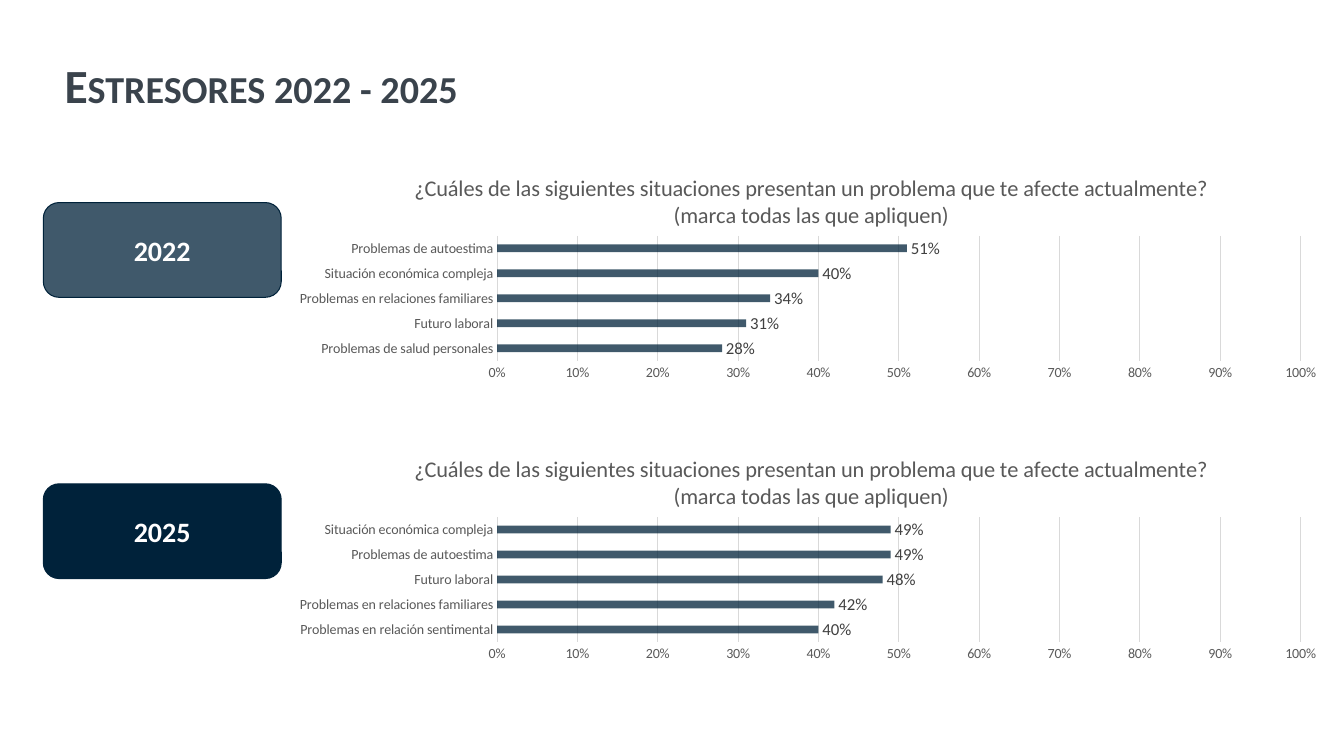
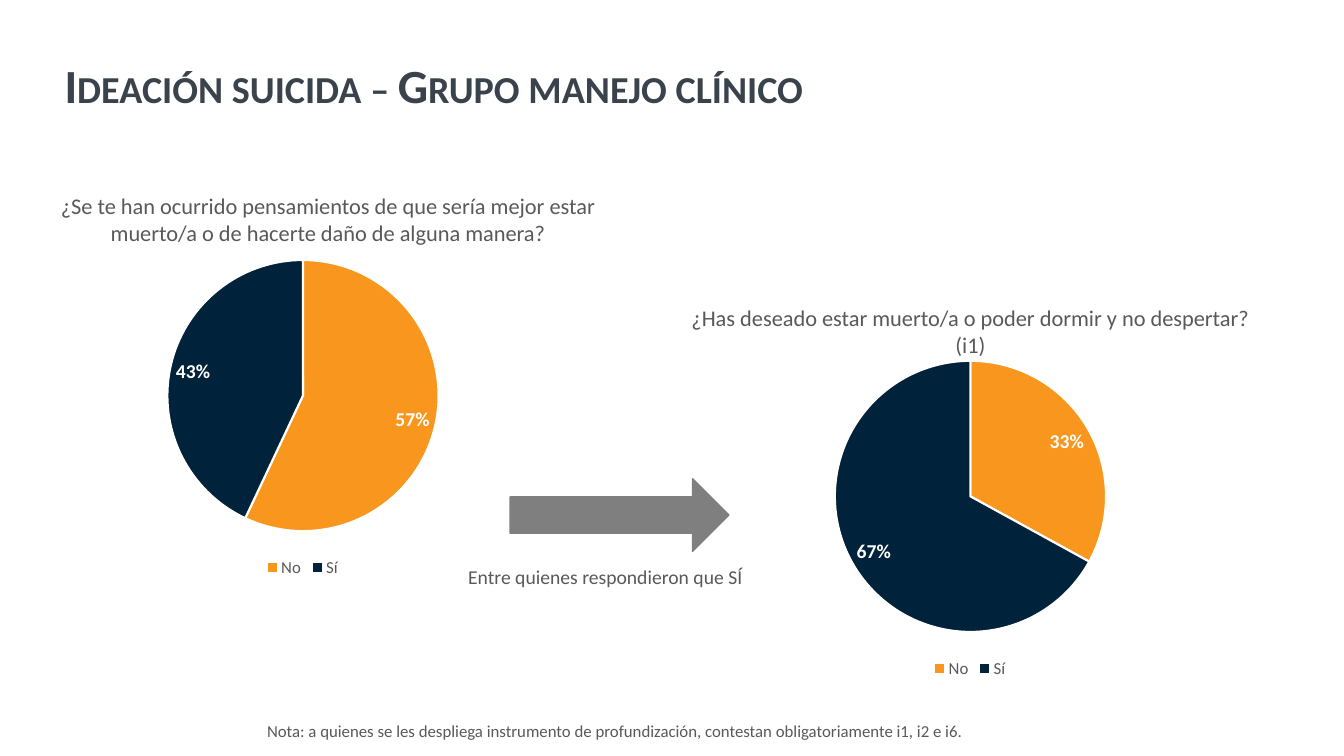
from lxml.etree import SubElement
from pptx import Presentation
from pptx.chart.data import CategoryChartData
from pptx.dml.color import RGBColor
from pptx.enum.chart import XL_CHART_TYPE as ChartType
from pptx.enum.chart import XL_LABEL_POSITION as LabelPosition
from pptx.enum.chart import XL_LEGEND_POSITION as LegendPosition
from pptx.enum.chart import XL_TICK_MARK as TickMark
from pptx.enum.shapes import MSO_SHAPE as Shape
from pptx.enum.text import MSO_ANCHOR as Anchor
from pptx.enum.text import MSO_AUTO_SIZE as AutoSize
from pptx.enum.text import PP_ALIGN as Align
from pptx.oxml.ns import qn
from pptx.util import Pt

PX = 9144
FONT = "Calibri"
COLORS = {
    "title": "3A434C",
    "text": "595959",
    "label": "404040",
    "navy": "00223A",
    "orange": "F8961E",
    "grid": "D9D9D9",
    "arrow": "7F7F7F",
    "white": "FFFFFF",
}
STRESSOR_QUESTION = (
    "¿Cuáles de las siguientes situaciones presentan un problema que te afecte actualmente?",
    "(marca todas las que apliquen)",
)


def color(name):
    return RGBColor.from_string(COLORS[name])


def emu(*lengths):
    return [length * PX for length in lengths]


def style_font(font, size, color_name, bold=False):
    font.name = FONT
    font.size = Pt(size)
    font.bold = bold
    font.color.rgb = color(color_name)


def paint(target, color_name):
    target.fill.solid()
    target.fill.fore_color.rgb = color(color_name)


def outline(line, color_name, width):
    line.color.rgb = color(color_name)
    line.width = Pt(width)


def set_opacity(element, percent):
    fill_color = next(element.iter(qn("a:srgbClr")))
    SubElement(fill_color, qn("a:alpha"), val=str(percent * 1000))


def add_run(paragraph, text, size, color_name, bold=False):
    run = paragraph.add_run()
    run.text = text
    style_font(run.font, size, color_name, bold)
    return run


def add_titled_slide(deck, text):
    slide = deck.slides.add_slide(deck.slide_layouts[5])
    title = slide.shapes.title
    title.left, title.top, title.width, title.height = emu(54, 40, 1273, 94)
    frame = title.text_frame
    frame.auto_size = AutoSize.NONE
    frame.vertical_anchor = Anchor.MIDDLE
    heading = frame.paragraphs[0]
    heading.alignment = Align.LEFT
    heading.line_spacing = 0.9
    run = add_run(heading, text, 34, "title", True)
    run.font._element.set("cap", "small")
    return slide


def add_caption(slide, box, text, size, align=Align.CENTER):
    caption = slide.shapes.add_textbox(*emu(*box))
    frame = caption.text_frame
    frame.word_wrap = True
    frame.auto_size = AutoSize.SHAPE_TO_FIT_TEXT
    paragraph = frame.paragraphs[0]
    paragraph.alignment = align
    add_run(paragraph, text, size, "text")


def add_solid_shape(slide, kind, box, color_name, line_width):
    shape = slide.shapes.add_shape(kind, *emu(*box))
    shape.shadow.inherit = False
    paint(shape, color_name)
    outline(shape.line, color_name, line_width)
    return shape


def place_in_chart(parent, chart_size, region):
    layout = parent.find(qn("c:layout"))
    if layout is None:
        layout = parent.makeelement(qn("c:layout"))
        parent.insert(0, layout)
    manual = SubElement(layout, qn("c:manualLayout"))
    if len(region) == 4:
        SubElement(manual, qn("c:layoutTarget"), val="inner")
    for mode in ("xMode", "yMode"):
        SubElement(manual, qn(f"c:{mode}"), val="edge")
    for key, length, total in zip("xywh", region, chart_size * 2):
        SubElement(manual, qn(f"c:{key}"), val=f"{length / total:.4f}")


def add_percent_chart(slide, kind, box, plot_region, categories, values):
    data = CategoryChartData(number_format="0%")
    data.categories = categories
    data.add_series("Series 1", values)
    chart = slide.shapes.add_chart(kind, *emu(*box), data).chart
    style_font(chart.font, 10, "text")
    chart.has_title = False
    chart.has_legend = False
    plot_area = next(chart.element.iter(qn("c:plotArea"))) if hasattr(chart, "element") else \
        next(chart._chartSpace.iter(qn("c:plotArea")))
    place_in_chart(plot_area, box[2:], plot_region)
    return chart


def label_values(plot, position, size, color_name, bold=False):
    plot.has_data_labels = True
    labels = plot.data_labels
    labels.show_value = True
    labels.show_percentage = False
    labels.number_format = "0%"
    labels.number_format_is_linked = False
    labels.position = position
    style_font(labels.font, size, color_name, bold)


def add_year_panel(slide, left, top, year, opacity, answers):
    badge = add_solid_shape(
        slide, Shape.ROUNDED_RECTANGLE, (left, top + 49, 236, 94), "navy", 0.75
    )
    if opacity < 100:
        set_opacity(badge._element, opacity)
    badge.text_frame.vertical_anchor = Anchor.MIDDLE
    paragraph = badge.text_frame.paragraphs[0]
    paragraph.alignment = Align.CENTER
    add_run(paragraph, year, 20, "white", True)

    box = (left + 234, top, 1050, 231)
    chart = add_percent_chart(
        slide, ChartType.BAR_CLUSTERED, box, (216, 82, 797, 124),
        list(answers), list(answers.values()),
    )
    chart.has_title = True
    title = chart.chart_title
    title.include_in_layout = False
    frame = title.text_frame
    for index, line in enumerate(STRESSOR_QUESTION):
        paragraph = frame.add_paragraph() if index else frame.paragraphs[0]
        add_run(paragraph, line, 16, "text")
    place_in_chart(title._element, box[2:], (131, 17))

    plot = chart.plots[0]
    plot.gap_width = 219
    plot.vary_by_categories = False
    bars = plot.series[0]
    paint(bars.format, "navy")
    set_opacity(bars._element, 75)
    label_values(plot, LabelPosition.OUTSIDE_END, 12, "label")

    for axis in (chart.category_axis, chart.value_axis):
        axis.major_tick_mark = axis.minor_tick_mark = TickMark.NONE
        style_font(axis.tick_labels.font, 10, "text")
    chart.category_axis.has_major_gridlines = False
    outline(chart.category_axis.format.line, "grid", 0.75)
    scale = chart.value_axis
    scale.minimum_scale, scale.maximum_scale, scale.major_unit = 0, 1, 0.1
    scale.tick_labels.number_format = "0%"
    scale.tick_labels.number_format_is_linked = False
    scale.format.line.fill.background()
    outline(scale.major_gridlines.format.line, "grid", 0.75)


def add_answer_pie(slide, left, top, question_offset, question, shares):
    shift, rise = question_offset
    add_caption(slide, (left + shift, top - rise, 607, 64), question, 16)
    chart = add_percent_chart(
        slide, ChartType.PIE, (left, top, 600, 334), (166, 15, 269, 269),
        ("No", "Sí"), shares,
    )
    chart.has_legend = True
    chart.legend.position = LegendPosition.BOTTOM
    chart.legend.include_in_layout = False
    style_font(chart.legend.font, 12, "text")
    plot = chart.plots[0]
    plot.vary_by_categories = True
    for index, color_name in enumerate(("orange", "navy")):
        slice_format = plot.series[0].points[index].format
        paint(slice_format, color_name)
        outline(slice_format.line, "white", 1.5)
    label_values(plot, LabelPosition.BEST_FIT, 14, "white", True)


def build_stressors(deck):
    slide = add_titled_slide(deck, "Estresores 2022 - 2025")
    add_year_panel(slide, 43, 152, "2022", 75, {
        "Problemas de salud personales": 0.28,
        "Futuro laboral": 0.31,
        "Problemas en relaciones familiares": 0.34,
        "Situación económica compleja": 0.4,
        "Problemas de autoestima": 0.51,
    })
    add_year_panel(slide, 43, 431, "2025", 100, {
        "Problemas en relación sentimental": 0.4,
        "Problemas en relaciones familiares": 0.42,
        "Futuro laboral": 0.48,
        "Problemas de autoestima": 0.49,
        "Situación económica compleja": 0.49,
    })


def build_ideation(deck):
    slide = add_titled_slide(deck, "Ideación suicida – Grupo manejo clínico")
    add_answer_pie(
        slide, 0, 243, (22, 57),
        "¿Se te han ocurrido pensamientos de que sería mejor estar muerto/a "
        "o de hacerte daño de alguna manera?",
        (0.57, 0.43),
    )
    add_answer_pie(
        slide, 662, 343, (-3, 46),
        "¿Has deseado estar muerto/a o poder dormir y no despertar? (i1)",
        (0.33, 0.67),
    )
    add_solid_shape(slide, Shape.RIGHT_ARROW, (506, 475, 217, 72), "arrow", 1)
    add_caption(slide, (297, 556, 607, 34), "Entre quienes respondieron que SÍ", 14)
    add_caption(
        slide, (255, 710, 738, 30),
        "Nota: a quienes se les despliega instrumento de profundización, "
        "contestan obligatoriamente i1, i2 e i6.",
        12, Align.LEFT,
    )


def main():
    deck = Presentation()
    deck.slide_width, deck.slide_height = emu(1333, 750)
    build_stressors(deck)
    build_ideation(deck)
    deck.save("out.pptx")


if __name__ == "__main__":
    main()
